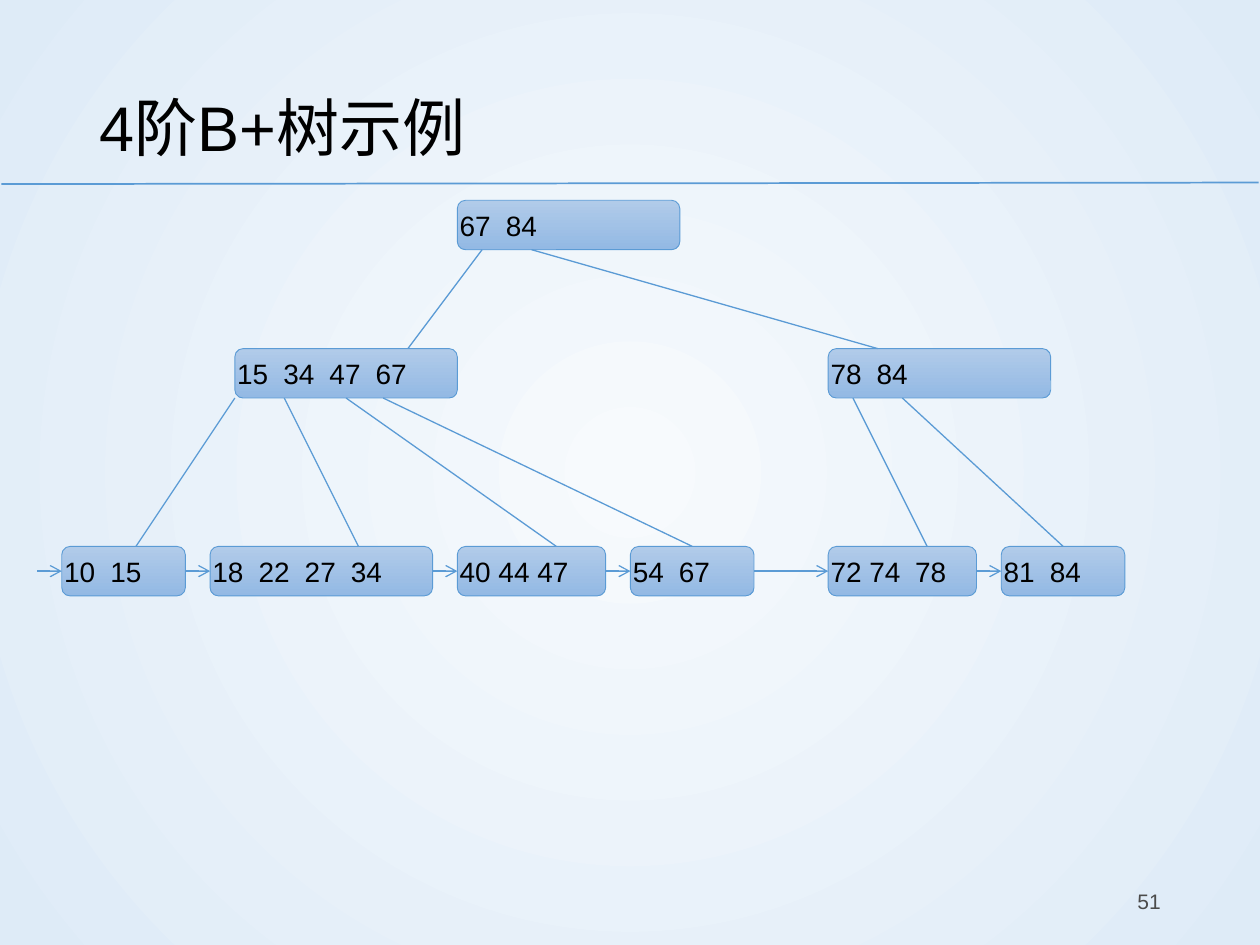
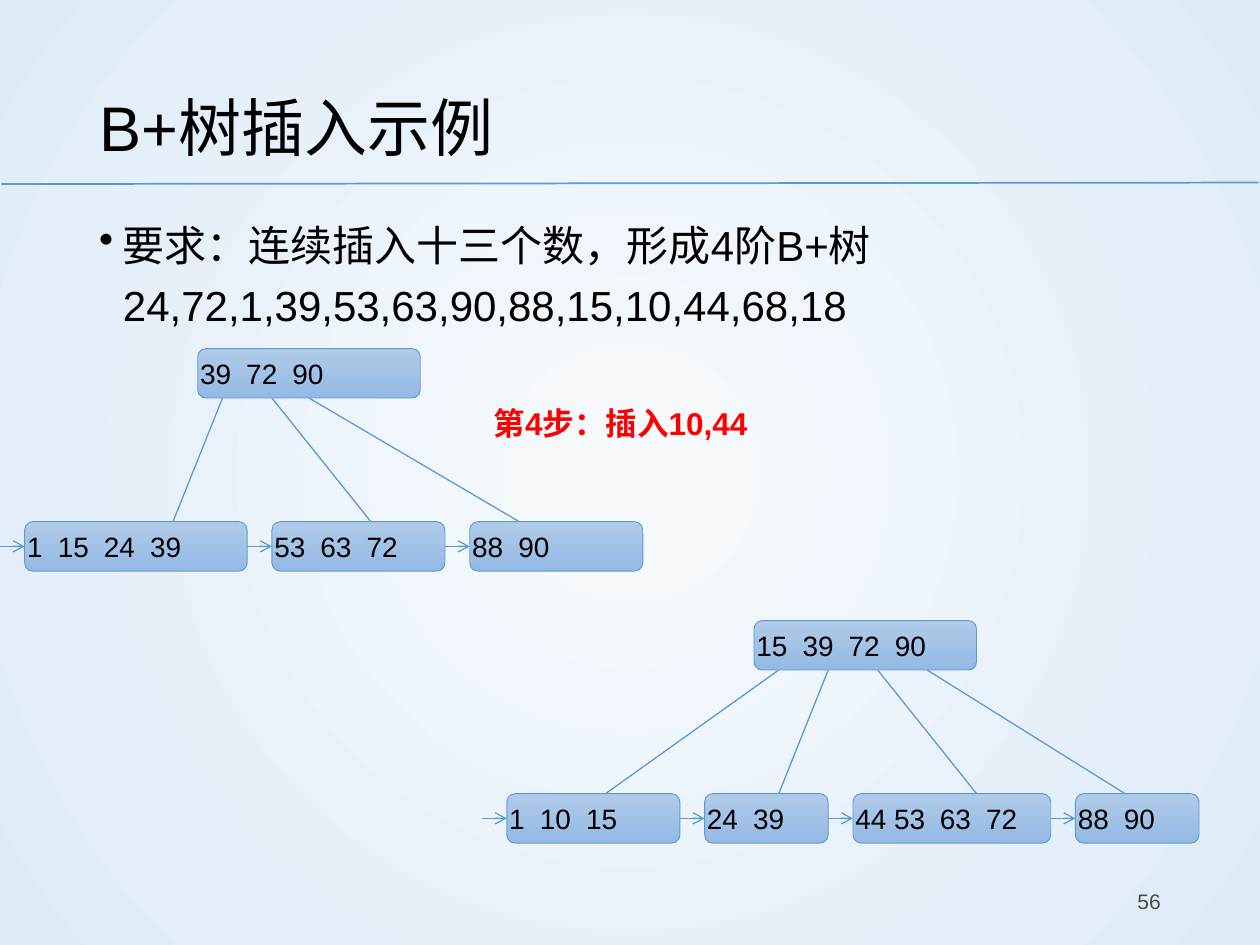
"""Build two slides that show B+ trees of order 4."""
from dataclasses import dataclass

from pptx import Presentation
from pptx.dml.color import RGBColor
from pptx.enum.shapes import MSO_CONNECTOR, MSO_SHAPE
from pptx.enum.text import MSO_ANCHOR, MSO_AUTO_SIZE, PP_ALIGN
from pptx.oxml import parse_xml
from pptx.oxml.ns import nsdecls, qn
from pptx.oxml.xmlchemy import OxmlElement
from pptx.util import Cm, Pt


@dataclass(frozen=True)
class Theme:
    font: str = "Arial"
    text: str = "000000"
    muted: str = "4B4B4B"
    accent: str = "FF0000"
    line: str = "5B9BD5"
    node: tuple[str, str] = ("B1CBE9", "93B9E4")
    backdrop: tuple[str, str] = ("F7FAFD", "DEEBF7")
    title_size: int = 36
    body_size: int = 24
    note_size: int = 18
    node_size: int = 16
    number_size: int = 12


@dataclass(frozen=True)
class Node:
    """A tree node; lengths are grid units, entry and exits count from its left."""
    keys: str
    left: float
    width: float
    entry: float = 0
    exits: tuple[float, ...] = ()
    kids: tuple["Node", ...] = ()


@dataclass(frozen=True)
class Tree:
    root: Node
    tops: tuple[int, ...]


THEME = Theme()
GRID = Cm(24.92) / 50
TOP_SHIFT = 0.1
NODE_HEIGHT = 2
DIGIT = Cm(0.31)
SPACE = DIGIT / 2

ORDER_FOUR = Tree(
    Node("67\t84", 18.5, 9, exits=(1, 3), kids=(
        Node("15\t34\t47\t67", 9.5, 9, 7, (0, 2, 4.5, 6), (
            Node("10\t15", 2.5, 5, 3),
            Node("18\t22\t27\t34", 8.5, 9, 6),
            Node("40 44 47", 18.5, 6, 4),
            Node("54\t67", 25.5, 5, 2.5))),
        Node("78\t84", 33.5, 9, 2, (1, 3), (
            Node("72 74\t78", 33.5, 6, 4),
            Node("81\t84", 40.5, 5, 2.5))))),
    (8, 14, 22))

BEFORE_INSERT = Tree(
    Node("39\t72\t90", 8, 9, exits=(1, 3, 4.5), kids=(
        Node("1\t15\t24\t39", 1, 9, 6),
        Node("53\t63\t72", 11, 7, 4),
        Node("88\t90", 19, 7, 2))),
    (14, 21))

AFTER_INSERT = Tree(
    Node("15\t39\t72\t90", 30.5, 9, exits=(1, 3, 5, 7), kids=(
        Node("1\t10\t15", 20.5, 7, 4),
        Node("24\t39", 28.5, 5, 3),
        Node("44 53\t63\t72", 34.5, 8, 5),
        Node("88\t90", 43.5, 5, 2))),
    (25, 32))


def color(value: str) -> RGBColor:
    """Turn a hex value into a colour."""
    return RGBColor.from_string(value)


def grid(units: float) -> int:
    """Turn grid units into a length."""
    return round(units * GRID)


def write(tf, text: str, *, size: int, fill: str = THEME.text, bold: bool = False,
          align=PP_ALIGN.LEFT, anchor=MSO_ANCHOR.TOP, spacing: float | None = None,
          bullet: str = "", tabs: tuple[int, ...] = ()) -> None:
    """Fill a text frame with one formatted paragraph."""
    tf.word_wrap = True
    tf.auto_size = MSO_AUTO_SIZE.NONE
    tf.vertical_anchor = anchor
    p = tf.paragraphs[0]
    p.alignment = align
    p_pr = p._p.get_or_add_pPr()
    if bullet:
        indent = Cm(0.48)
        p_pr.set("marL", str(indent))
        p_pr.set("indent", str(-indent))
        bu = OxmlElement("a:buChar")
        bu.set("char", bullet)
        p_pr.append(bu)
    if tabs:
        tab_list = OxmlElement("a:tabLst")
        for stop in tabs:
            tab = OxmlElement("a:tab")
            tab.set("pos", str(stop))
            tab.set("algn", "l")
            tab_list.append(tab)
        p_pr.append(tab_list)
    if spacing:
        p.line_spacing = spacing
    r = p.add_run()
    r.text = text
    r.font.name = THEME.font
    r.font.size = Pt(size)
    r.font.bold = bold
    r.font.color.rgb = color(fill)


def shade(fill, stops: tuple[str, str]) -> None:
    """Apply a vertical gradient of two colours."""
    fill.gradient()
    fill.gradient_angle = 270
    for stop, value in zip(fill.gradient_stops, stops):
        stop.color.rgb = color(value)


def add_line(slide, start: tuple[int, int], end: tuple[int, int], *,
             width: float = 0.75, arrow: bool = False):
    """Draw a straight line, with an arrowhead at its end if asked."""
    sp = slide.shapes.add_connector(MSO_CONNECTOR.STRAIGHT, *start, *end)
    sp.line.color.rgb = color(THEME.line)
    sp.line.width = Pt(width)
    sp_pr = sp.element.spPr
    if arrow:
        tail = OxmlElement("a:tailEnd")
        tail.set("type", "arrow")
        sp_pr.find(qn("a:ln")).append(tail)
    sp_pr.append(OxmlElement("a:effectLst"))
    return sp


def add_text(slide, box: tuple[float, ...], text: str, **fmt) -> None:
    """Add a text box placed in centimetres."""
    sp = slide.shapes.add_textbox(*map(Cm, box))
    write(sp.text_frame, text, **fmt)


def key_tabs(keys: str) -> tuple[int, ...]:
    """Place tab stops two spaces after each group of keys."""
    stops, x = [], 0
    for group in keys.split("\t")[:-1]:
        x += sum(SPACE if ch == " " else DIGIT for ch in group) + 2 * SPACE
        stops.append(round(x))
    return tuple(stops)


def add_node(slide, node: Node, top: float) -> None:
    """Draw one node with its keys."""
    sp = slide.shapes.add_shape(MSO_SHAPE.ROUNDED_RECTANGLE, grid(node.left), grid(top),
                                grid(node.width), grid(NODE_HEIGHT))
    sp.shadow.inherit = False
    shade(sp.fill, THEME.node)
    sp.line.color.rgb = color(THEME.line)
    sp.line.width = Pt(0.5)
    tf = sp.text_frame
    tf.margin_left = tf.margin_top = tf.margin_bottom = 0
    tf.margin_right = Cm(0.5)
    write(tf, node.keys, size=THEME.node_size, anchor=MSO_ANCHOR.MIDDLE,
          tabs=key_tabs(node.keys))


def add_branch(slide, node: Node, tops: tuple[int, ...]) -> list[Node]:
    """Draw a node and all below it, and return its leaves."""
    top = tops[0] + TOP_SHIFT
    add_node(slide, node, top)
    if not node.kids:
        return [node]
    leaves = []
    for way_out, kid in zip(node.exits, node.kids):
        leaves += add_branch(slide, kid, tops[1:])
        add_line(slide, (grid(node.left + way_out), grid(top + NODE_HEIGHT)),
                 (grid(kid.left + kid.entry), grid(tops[1] + TOP_SHIFT)))
    return leaves


def add_tree(slide, tree: Tree) -> None:
    """Draw a tree and the arrows that chain its leaves."""
    leaves = add_branch(slide, tree.root, tree.tops)
    y = grid(tree.tops[-1] + TOP_SHIFT + NODE_HEIGHT / 2)
    start = leaves[0].left - 1
    for leaf in leaves:
        add_line(slide, (grid(start), y), (grid(leaf.left), y), arrow=True)
        start = leaf.left + leaf.width


def set_backdrop(master) -> None:
    """Give the master a radial background."""
    shade(master.background.fill, THEME.backdrop)
    lin = next(master.element.iter(qn("a:lin")))
    radial = parse_xml(f'<a:path {nsdecls("a")} path="circle"><a:fillToRect '
                       'l="50000" t="50000" r="50000" b="50000"/></a:path>')
    lin.getparent().replace(lin, radial)


def add_slide(prs, title: str, number: int):
    """Add a slide with its title and number."""
    slide = prs.slides.add_slide(prs.slide_layouts[5])
    sp = slide.shapes.title
    sp.left, sp.top, sp.width, sp.height = map(Cm, (1.75, 1.02, 21.9, 2.74))
    write(sp.text_frame, title, size=THEME.title_size, anchor=MSO_ANCHOR.MIDDLE, spacing=1.2)
    add_text(slide, (17.93, 17.65, 5.72, 1.02), str(number), size=THEME.number_size,
             fill=THEME.muted, align=PP_ALIGN.RIGHT, anchor=MSO_ANCHOR.MIDDLE)
    return slide


def main() -> None:
    """Build and save the presentation."""
    prs = Presentation()
    prs.slide_width, prs.slide_height = Cm(25.4), Cm(19.05)
    set_backdrop(prs.slide_master)

    example = add_slide(prs, "4阶B+树示例", 51)
    rule = add_line(example, (Cm(0.03), Cm(3.71)), (Cm(25.37), Cm(3.68)), width=1)
    example.slide_layout.shapes.element.append(rule.element)
    add_tree(example, ORDER_FOUR)

    insertion = add_slide(prs, "B+树插入示例", 56)
    add_text(insertion, (1.75, 4.09, 21.9, 12.09),
             "要求：连续插入十三个数，形成4阶B+树24,72,1,39,53,63,90,88,15,10,44,68,18",
             size=THEME.body_size, spacing=1.2, bullet="•")
    add_text(insertion, (9.7, 8.03, 9.47, 1.02), "第4步：插入10,44",
             size=THEME.note_size, fill=THEME.accent, bold=True)
    add_tree(insertion, BEFORE_INSERT)
    add_tree(insertion, AFTER_INSERT)

    prs.save("out.pptx")


if __name__ == "__main__":
    main()
